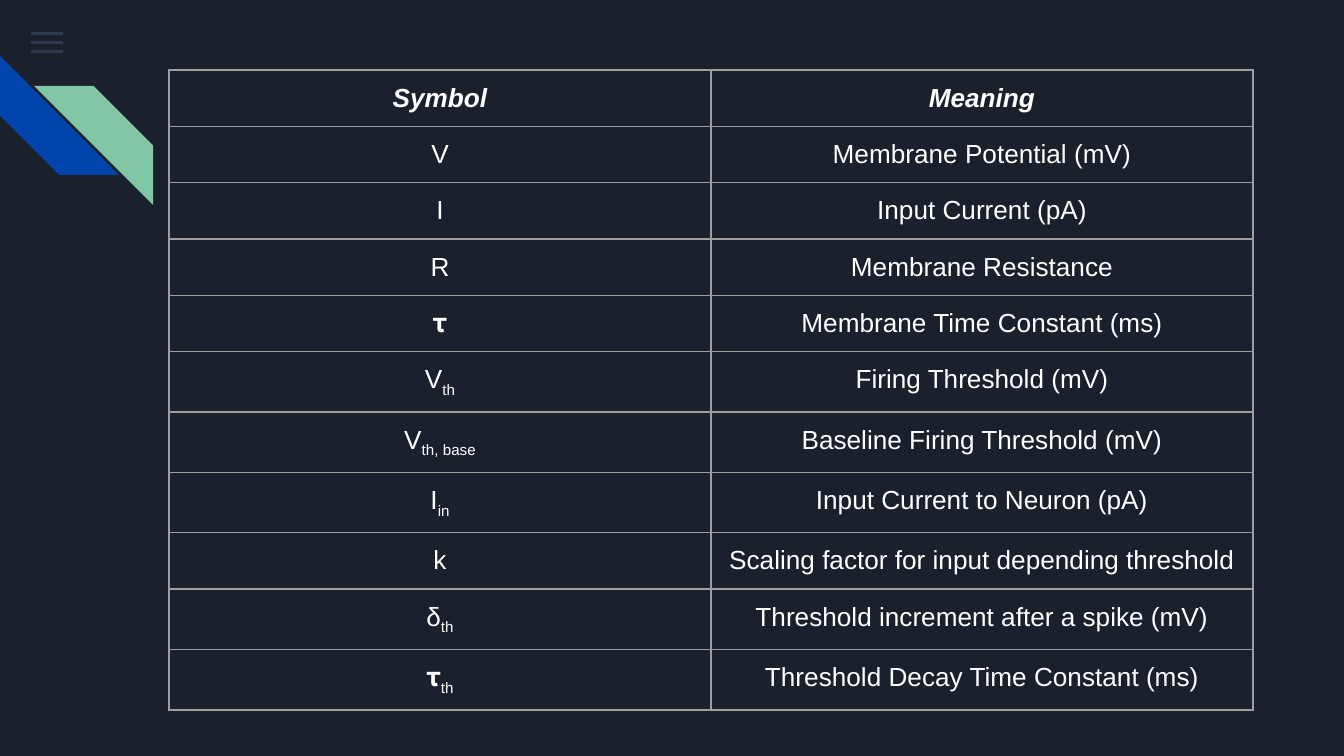
from lxml import etree
from pptx import Presentation
from pptx import util as u
from pptx.dml.color import RGBColor
from pptx.enum import shapes, text
from pptx.oxml.ns import qn

# Content: (symbol, subscript, meaning)
HEADINGS = ("Symbol", "", "Meaning")
SYMBOLS = [
    ("V", "", "Membrane Potential (mV)"),
    ("I", "", "Input Current (pA)"),
    ("R", "", "Membrane Resistance"),
    ("𝛕", "", "Membrane Time Constant (ms)"),
    ("V", "th", "Firing Threshold (mV)"),
    ("V", "th, base", "Baseline Firing Threshold (mV)"),
    ("I", "in", "Input Current to Neuron (pA)"),
    ("k", "", "Scaling factor for input depending threshold"),
    ("δ", "th", "Threshold increment after a spike (mV)"),
    ("𝛕", "th", "Threshold Decay Time Constant (ms)"),
]
COLORS = {"background": "1B212C", "bar": "55688B", "blue": "0145AC",
          "green": "82C7A5", "text": "FFFFFF", "border": "9E9E9E"}
# Stripes: left, top, rotation, colour
STRIPES = [(0, 56, 270, "blue"), (34, 86, 90, "green")]
STRIPE_SIZE = 119
BAR_LEFT, BAR_TOP, BAR_WIDTH, BAR_HEIGHT, BAR_STEP = 31, 32, 32, 3, 9
TABLE_LEFT, TABLE_TOP, COLUMN_WIDTH, ROW_HEIGHT = 169, 70, 542, 56
CELL_MARGIN = u.Inches(0.1)


def px(value):
    return u.Emu(round(value * 914400 / 134.4))


def color(name):
    return RGBColor.from_string(COLORS[name])


def add_plain_shape(slide, kind, left, top, width, height, fill):
    shape = slide.shapes.add_shape(kind, px(left), px(top), px(width), px(height))
    shape.shadow.inherit = False
    shape.fill.solid()
    shape.fill.fore_color.rgb = color(fill)
    shape.line.fill.background()
    return shape


def add_run(paragraph, content, heading=False, subscript=False):
    run = paragraph.add_run()
    run.text = content
    font = run.font
    font.name, font.size = "Arial", u.Pt(14)
    font.bold = font.italic = heading
    font.color.rgb = color("text")
    if subscript:
        font._element.set("baseline", "-25000")


def style_cell(cell):
    cell.margin_left = cell.margin_right = CELL_MARGIN
    cell.margin_top = cell.margin_bottom = CELL_MARGIN
    properties = cell._tc.get_or_add_tcPr()
    for side in ("lnL", "lnR", "lnT", "lnB"):
        line = etree.SubElement(properties, qn("a:" + side), w=str(u.Pt(0.75)))
        fill = etree.SubElement(line, qn("a:solidFill"))
        etree.SubElement(fill, qn("a:srgbClr"), val=COLORS["border"])
    cell.fill.background()


def fill_cell(cell, content, subscript="", heading=False):
    style_cell(cell)
    paragraph = cell.text_frame.paragraphs[0]
    paragraph.alignment = text.PP_ALIGN.CENTER
    add_run(paragraph, content, heading)
    if subscript:
        add_run(paragraph, subscript, subscript=True)


def main():
    presentation = Presentation()
    presentation.slide_width, presentation.slide_height = px(1344), px(756)
    slide = presentation.slides.add_slide(presentation.slide_layouts[6])
    slide.background.fill.solid()
    slide.background.fill.fore_color.rgb = color("background")

    # Menu bars, partly transparent
    for index in range(3):
        bar = add_plain_shape(slide, shapes.MSO_SHAPE.RECTANGLE, BAR_LEFT,
                              BAR_TOP + index * BAR_STEP, BAR_WIDTH, BAR_HEIGHT, "bar")
        bar_color = bar._element.spPr.find(".//" + qn("a:srgbClr"))
        etree.SubElement(bar_color, qn("a:alpha"), val="36000")

    # Corner stripes
    for left, top, rotation, fill in STRIPES:
        stripe = add_plain_shape(slide, shapes.MSO_SHAPE.DIAGONAL_STRIPE,
                                 left, top, STRIPE_SIZE, STRIPE_SIZE, fill)
        stripe.adjustments[0] = 0.5
        stripe.rotation = rotation

    # Table of symbols
    rows = [HEADINGS] + SYMBOLS
    table = slide.shapes.add_table(
        len(rows), 2, px(TABLE_LEFT), px(TABLE_TOP),
        px(2 * COLUMN_WIDTH), px(len(rows) * ROW_HEIGHT)).table
    table.first_row = table.horz_banding = False
    for index, (symbol, subscript, meaning) in enumerate(rows):
        heading = index == 0
        table.rows[index].height = px(ROW_HEIGHT)
        fill_cell(table.cell(index, 0), symbol, subscript, heading)
        fill_cell(table.cell(index, 1), meaning, heading=heading)

    presentation.save("out.pptx")


if __name__ == "__main__":
    main()
